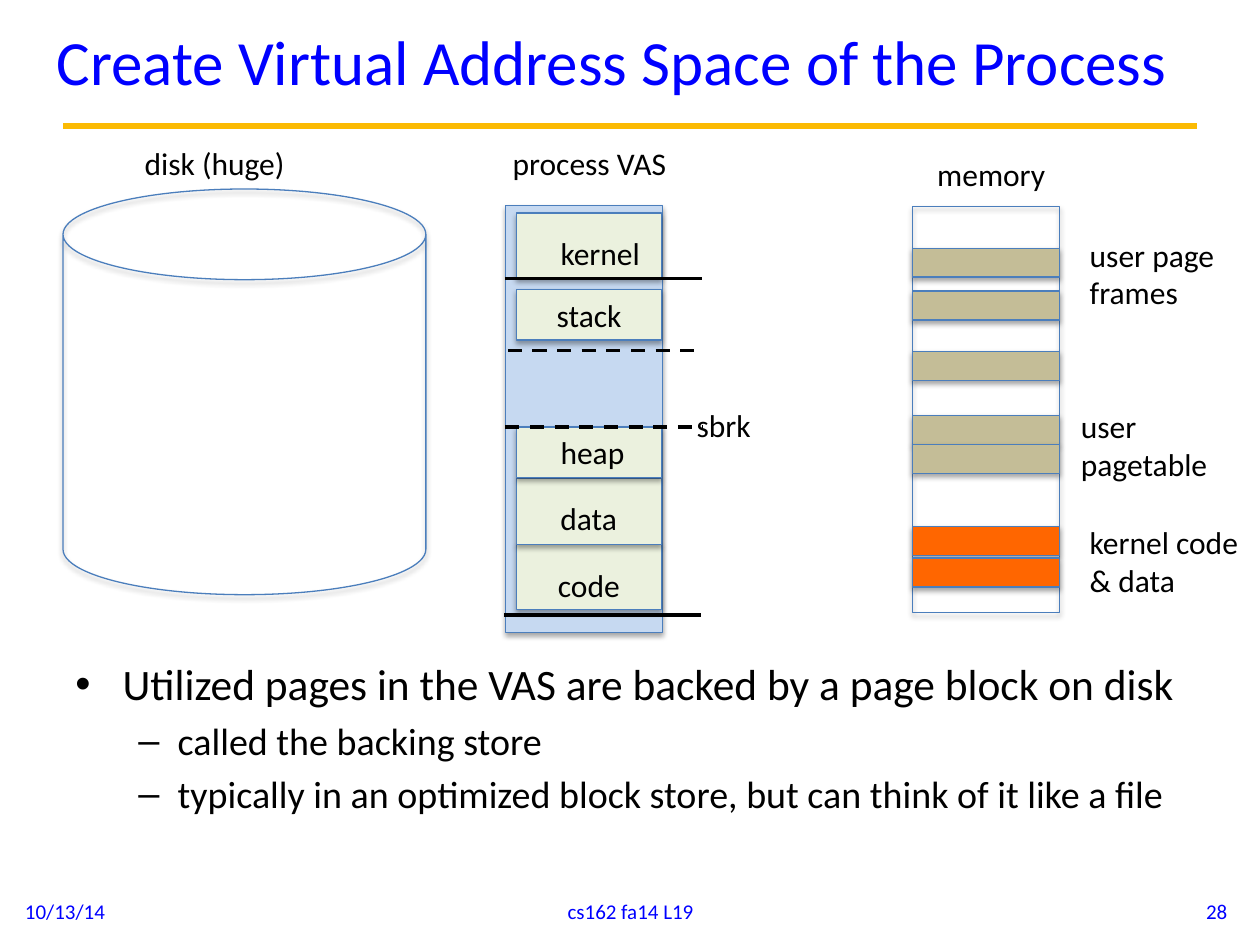
"""Build a slide on creating the virtual address space of a process."""
from lxml import etree
from pptx import Presentation
from pptx.dml.color import RGBColor
from pptx.enum.dml import MSO_LINE
from pptx.enum.shapes import MSO_CONNECTOR, MSO_SHAPE
from pptx.enum.text import MSO_ANCHOR, MSO_AUTO_SIZE, PP_ALIGN
from pptx.oxml import parse_xml
from pptx.oxml.ns import nsdecls, qn
from pptx.util import Pt

RECTANGLE, CAN = MSO_SHAPE.RECTANGLE, MSO_SHAPE.CAN
STRAIGHT, DASH = MSO_CONNECTOR.STRAIGHT, MSO_LINE.DASH
TOP, MIDDLE = MSO_ANCHOR.TOP, MSO_ANCHOR.MIDDLE
LEFT, CENTER, RIGHT = PP_ALIGN.LEFT, PP_ALIGN.CENTER, PP_ALIGN.RIGHT

THEME = {
    "font": "Calibri",
    "blue": RGBColor(0x00, 0x00, 0xFF),
    "black": RGBColor(0x00, 0x00, 0x00),
    "rule": RGBColor(0xFB, 0xBA, 0x03),
    "outline": RGBColor(0x4B, 0x7E, 0xBC),
    "space": RGBColor(0xC6, 0xD9, 0xF1),
    "segment": RGBColor(0xEB, 0xF1, 0xDE),
    "user": RGBColor(0xC4, 0xBD, 0x97),
    "kernel": RGBColor(0xFF, 0x66, 0x00),
    "title_size": 36,
    "label_size": 18,
    "footer_size": 12,
    "body_sizes": (24.8, 21.7),
}
SHADOW = (
    f'<a:outerShdw {nsdecls("a")} blurRad="39370" dist="22860" dir="5400000" rotWithShape="0">'
    '<a:srgbClr val="000000"><a:alpha val="35000"/></a:srgbClr></a:outerShdw>'
)

deck = Presentation()
deck.slide_width, deck.slide_height = Pt(720), Pt(540)
page = deck.slides.add_slide(deck.slide_layouts[5])


def add_block(kind, left, top, width, height, fill=None):
    block = page.shapes.add_shape(kind, Pt(left), Pt(top), Pt(width), Pt(height))
    block.shadow.inherit = False
    block._element.spPr.find(qn("a:effectLst")).append(parse_xml(SHADOW))
    block.line.color.rgb = THEME["outline"]
    block.line.width = Pt(0.75)
    if fill is None:
        block.fill.background()
    else:
        block.fill.solid()
        block.fill.fore_color.rgb = fill


def write(box, text, sizes, color, align=LEFT, anchor=TOP, wrap=True):
    frame = box.text_frame
    frame.text = text
    frame.word_wrap = wrap
    frame.auto_size = MSO_AUTO_SIZE.NONE
    frame.vertical_anchor = anchor
    for index, para in enumerate(frame.paragraphs):
        para.alignment = align
        for span in para.runs:
            span.font.name = THEME["font"]
            span.font.size = Pt(sizes[min(index, len(sizes) - 1)])
            span.font.color.rgb = color


title = page.shapes.title
title.left, title.top, title.width, title.height = Pt(25.2), Pt(0), Pt(658.8), Pt(69.12)
write(title, "Create Virtual Address Space of the Process",
      [THEME["title_size"]], THEME["blue"], anchor=MIDDLE)

add_block(CAN, 36, 108, 207.36, 231.84)

memory_left, memory_width = 521.28, 84.24
add_block(RECTANGLE, memory_left, 118.08, memory_width, 231.84)
for frame_top, owner in [(141.84, "user"), (166.32, "user"), (200.88, "user"),
                         (237.6, "user"), (254.16, "user"),
                         (300.96, "kernel"), (318.96, "kernel")]:
    add_block(RECTANGLE, memory_left, frame_top, memory_width, 16.56, THEME[owner])

add_block(RECTANGLE, 288.72, 117.36, 90, 244.08, THEME["space"])
for segment_top, segment_height in [(311.04, 37.44), (273.6, 37.44), (244.08, 28.8),
                                    (165.6, 28.8), (121.68, 37.44)]:
    add_block(RECTANGLE, 295.2, segment_top, 82.8, segment_height, THEME["segment"])

for start, end, height, color, weight, dash in [
    (36, 684, 72, "rule", 3.75, None),
    (288.72, 401.04, 159.12, "black", 2, None),
    (290.16, 402.48, 200.16, "black", 2, DASH),
    (288.72, 401.76, 244.08, "black", 2, DASH),
    (288, 400.32, 351.36, "black", 2, None),
]:
    line = page.shapes.add_connector(STRAIGHT, Pt(start), Pt(height), Pt(end), Pt(height))
    line.line.color.rgb = THEME[color]
    line.line.width = Pt(weight)
    if dash is not None:
        line.line.dash_style = dash
    etree.SubElement(line._element.spPr, qn("a:effectLst"))

for text, left, top, width in [
    ("disk (huge)", 75.6, 78.48, 95.76),
    ("process VAS", 285.84, 78.48, 104.4),
    ("memory", 528.48, 84.96, 77.04),
    ("kernel", 313.2, 130.32, 61.2),
    ("stack", 311.04, 165.6, 52.56),
    ("sbrk", 390.96, 228.24, 46.08),
    ("heap", 313.2, 244.08, 51.12),
    ("data", 313.2, 281.52, 47.52),
    ("code", 311.76, 319.68, 50.4),
]:
    label = page.shapes.add_textbox(Pt(left), Pt(top), Pt(width), Pt(28.8))
    write(label, text, [THEME["label_size"]], THEME["black"], wrap=False)

for text, left, top in [
    ("user page\nframes", 615.6, 131.04),
    ("user pagetable", 610.56, 228.96),
    ("kernel code & data", 615.6, 295.2),
]:
    label = page.shapes.add_textbox(Pt(left), Pt(top), Pt(107.28), Pt(51.12))
    write(label, text, [THEME["label_size"]], THEME["black"])

body = page.shapes.add_textbox(Pt(36), Pt(372.24), Pt(648), Pt(115.2))
write(body, "Utilized pages in the VAS are backed by a page block on disk\n"
      "called the backing store\n"
      "typically in an optimized block store, but can think of it like a file",
      THEME["body_sizes"], THEME["black"])
for para, (level, mark, margin, hang, gap) in zip(body.text_frame.paragraphs, [
    (0, "•", 27, 27, 0),
    (1, "–", 58.5, 22.5, 4.34),
    (1, "–", 58.5, 22.5, 4.34),
]):
    para.level = level
    properties = para._p.get_or_add_pPr()
    properties.set("marL", str(Pt(margin)))
    properties.set("indent", str(-Pt(hang)))
    etree.SubElement(properties, qn("a:buFont"), typeface="Arial")
    etree.SubElement(properties, qn("a:buChar"), char=mark)
    para.space_before = Pt(gap)

for text, left, width, align in [
    ("10/13/14", 7.2, 167.76, LEFT),
    ("cs162 fa14 L19", 246.24, 228.24, CENTER),
    ("28", 540.72, 167.76, RIGHT),
]:
    footer = page.shapes.add_textbox(Pt(left), Pt(506.16), Pt(width), Pt(28.8))
    write(footer, text, [THEME["footer_size"]], THEME["blue"], align, MIDDLE)

deck.save("out.pptx")
